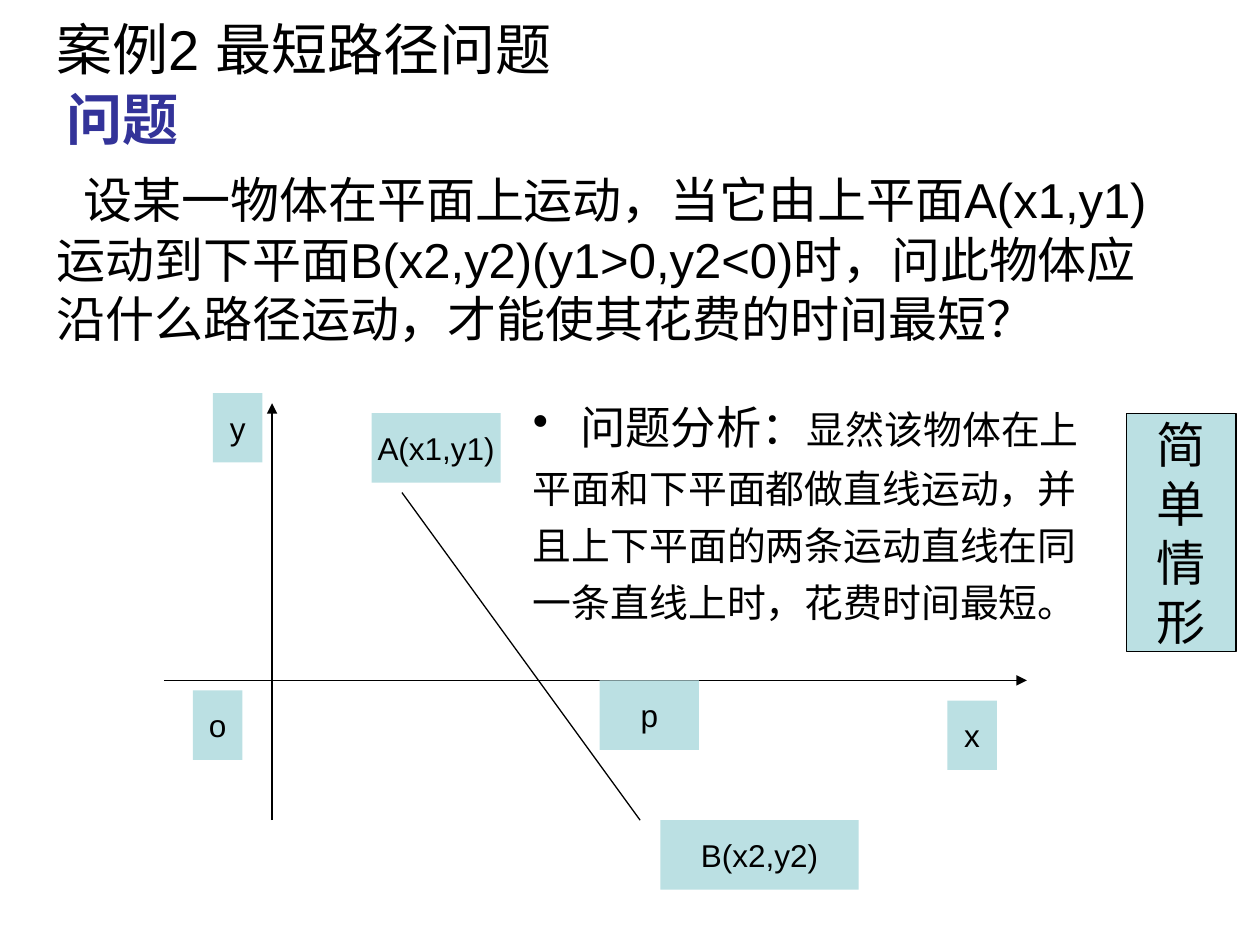
from dataclasses import dataclass

from lxml.etree import SubElement
from pptx import Presentation
from pptx.dml.color import RGBColor
from pptx.enum.shapes import MSO_CONNECTOR, MSO_SHAPE
from pptx.enum.text import MSO_ANCHOR as Anchor, MSO_AUTO_SIZE as AutoSize, PP_ALIGN as Align
from pptx.oxml.ns import qn
from pptx.util import Pt


@dataclass(frozen=True)
class Theme:
    font: str = "Arial"
    ink: RGBColor = RGBColor(0x00, 0x00, 0x00)
    accent: RGBColor = RGBColor(0x33, 0x33, 0x99)
    panel: RGBColor = RGBColor(0xBB, 0xE0, 0xE3)
    title: float = 32
    body: float = 28
    lead: float = 25.9
    analysis: float = 22.2
    label: float = 18
    line: float = 0.75
    hanging: float = 27


@dataclass(frozen=True)
class Box:
    left: float
    top: float
    width: float
    height: float

    def inner(self, x, y, width, height):
        return Box(self.left + x, self.top + y, width, height)

    def lengths(self):
        return Pt(self.left), Pt(self.top), Pt(self.width), Pt(self.height)


THEME = Theme()


def style_run(run, size, color=THEME.ink, bold=False):
    run.font.name = THEME.font
    run.font.size = Pt(size)
    run.font.color.rgb = color
    run.font.bold = bold


def style_frame(frame, size, **style):
    for para in frame.paragraphs:
        for run in para.runs:
            style_run(run, size, **style)


def set_indent(para, margin, first):
    properties = para._p.get_or_add_pPr()
    properties.set("marL", str(Pt(margin)))
    properties.set("indent", str(Pt(first)))


def add_hanging_text(page, box, text, size, spacing, before, **style):
    """Text whose paragraphs all start at the left edge and hang after it."""
    frame = page.shapes.add_textbox(*box.lengths()).text_frame
    frame.word_wrap = True
    frame.text = text
    for para in frame.paragraphs:
        set_indent(para, THEME.hanging, -THEME.hanging)
        para.line_spacing = spacing
        para.space_before = Pt(before)
    style_frame(frame, size, **style)
    return frame


def add_panel(page, box, text, size, outlined=False):
    panel = page.shapes.add_shape(MSO_SHAPE.RECTANGLE, *box.lengths())
    panel.shadow.inherit = False
    panel.fill.solid()
    panel.fill.fore_color.rgb = THEME.panel
    if outlined:
        panel.line.color.rgb = THEME.ink
        panel.line.width = Pt(THEME.line)
    else:
        panel.line.fill.background()
    frame = panel.text_frame
    frame.text = text
    frame.word_wrap = False
    frame.vertical_anchor = Anchor.MIDDLE
    for para in frame.paragraphs:
        para.alignment = Align.CENTER
    style_frame(frame, size)


def add_line(page, box, start, end, arrow=False):
    """A line between two points measured from the corner of the box."""
    ends = [Pt(edge + offset) for point in (start, end)
            for edge, offset in zip((box.left, box.top), point)]
    line = page.shapes.add_connector(MSO_CONNECTOR.STRAIGHT, *ends)
    line.line.color.rgb = THEME.ink
    line.line.width = Pt(THEME.line)
    if arrow:
        SubElement(line.line._get_or_add_ln(), qn("a:tailEnd"), type="triangle")
    SubElement(line._element.spPr, qn("a:effectLst"))


def place_title(page, box):
    title = page.shapes.title
    title.left, title.top, title.width, title.height = box.lengths()
    frame = title.text_frame
    frame.text = "案例2 最短路径问题"
    frame.auto_size = AutoSize.NONE
    frame.vertical_anchor = Anchor.MIDDLE
    frame.paragraphs[0].alignment = Align.LEFT
    style_frame(frame, THEME.title)


def place_problem(page, box):
    heading = box.inner(5.8, 0, 79.2, 45.4)
    add_hanging_text(page, heading, "问题", THEME.title, 0.9, 8,
                     color=THEME.accent, bold=True)
    statement = box.inner(0, 51.1, box.width, 108)
    frame = add_hanging_text(
        page, statement,
        "设某一物体在平面上运动，当它由上平面A(x1,y1)\n"
        "运动到下平面B(x2,y2)(y1>0,y2<0)时，问此物体应\n"
        "沿什么路径运动，才能使其花费的时间最短？",
        THEME.body, 0.8, 7)
    set_indent(frame.paragraphs[0], THEME.hanging, -11.5)


def place_diagram(page, box):
    axis_x, axis_y, bottom = 61.9, 164.2, 244.1
    add_line(page, box, (0, axis_y), (box.width, axis_y), arrow=True)
    add_line(page, box, (axis_x, bottom), (axis_x, 5.8), arrow=True)
    add_line(page, box, (136.1, 56.9), (272.2, bottom))
    labels = [
        ("y", 28.1, 0, 28.3),
        ("o", 16.6, 169.9, 28.3),
        ("A(x1,y1)", 118.8, 11.5, 73.7),
        ("p", 249.1, axis_y, 56.7),
        ("B(x2,y2)", 283.7, bottom, 113.4),
        ("x", 447.8, 175.7, 28.3),
    ]
    for text, x, y, width in labels:
        add_panel(page, box.inner(x, y, width, 39.7), text, THEME.label)


def place_analysis(page, box):
    frame = add_hanging_text(
        page, box,
        "问题分析：\n"
        "平面和下平面都做直线运动，并\n"
        "且上下平面的两条运动直线在同\n"
        "一条直线上时，花费时间最短。",
        THEME.analysis, 1, 6)
    first = frame.paragraphs[0]
    style_run(first.runs[0], THEME.lead)
    span = first.add_run()
    span.text = "显然该物体在上"
    style_run(span, THEME.analysis)
    SubElement(first._p.get_or_add_pPr(), qn("a:buChar"), char="•")


def main():
    deck = Presentation()
    deck.slide_width, deck.slide_height = Pt(720), Pt(540)
    page = deck.slides.add_slide(deck.slide_layouts[5])
    place_title(page, Box(25.2, 0, 648, 55.4))
    place_problem(page, Box(25.2, 49, 646.6, 159.1))
    place_diagram(page, Box(93.6, 224.6, 493.2, 283.8))
    place_analysis(page, Box(297.4, 224.6, 362.9, 136.1))
    add_panel(page, Box(643.7, 236.2, 62.6, 136.1), "简\n单\n情\n形",
              THEME.body, outlined=True)
    deck.save("out.pptx")


if __name__ == "__main__":
    main()
